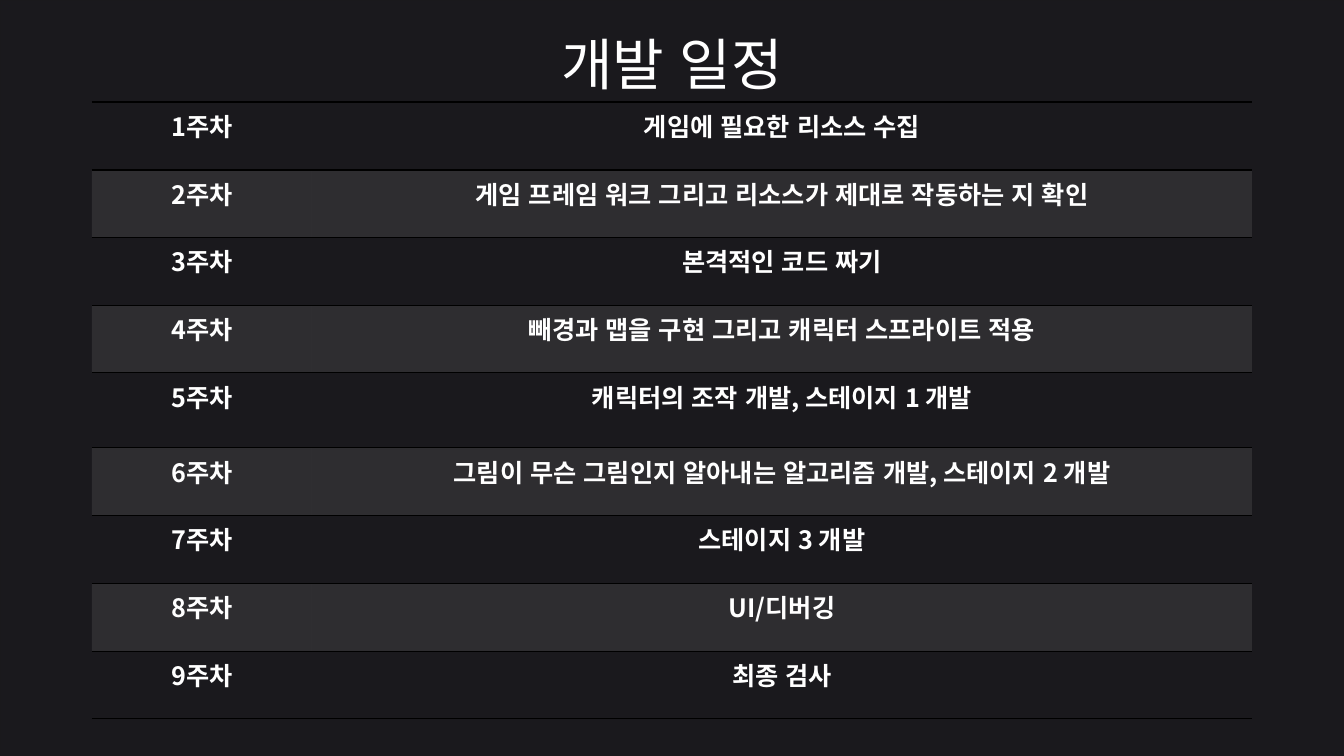
from lxml.etree import SubElement
from pptx import Presentation
from pptx.dml.color import RGBColor
from pptx.enum.shapes import MSO_SHAPE
from pptx.enum.text import MSO_AUTO_SIZE, PP_ALIGN
from pptx.oxml import parse_xml
from pptx.oxml.ns import nsdecls, qn
from pptx.util import Pt

EMU_PER_PX = 914400 / 100.8
FONT = "Noto Sans CJK KR"
PLAIN_TABLE_STYLE = "{2D5ABB26-0587-4C30-8999-92F81FD0307C}"
WEEK_PLANS = [
    "게임에 필요한 리소스 수집",
    "게임 프레임 워크 그리고 리소스가 제대로 작동하는 지 확인",
    "본격적인 코드 짜기",
    "빼경과 맵을 구현 그리고 캐릭터 스프라이트 적용",
    "캐릭터의 조작 개발, 스테이지 1 개발",
    "그림이 무슨 그림인지 알아내는 알고리즘 개발, 스테이지 2 개발",
    "스테이지 3 개발",
    "UI/디버깅",
    "최종 검사",
]
TALL_WEEK = 5
RULE_WIDTHS = [1.79] * 2 + [0.79] * 6 + [1] * 2


def px(length):
    return round(length * EMU_PER_PX)


def color(hex_string):
    return RGBColor.from_string(hex_string)


def write(frame, text, size, bold=False):
    para = frame.paragraphs[0]
    para.alignment = PP_ALIGN.CENTER
    span = para.add_run()
    span.text = text
    span.font.size = Pt(size)
    span.font.bold = bold
    span.font.name = FONT
    span.font.color.rgb = color("FFFFFF")
    properties = span.font._element
    properties.set("lang", "ko-KR")
    SubElement(properties, qn("a:ea")).set("typeface", FONT)


def add_backdrop(page, box):
    backdrop = page.shapes.add_shape(MSO_SHAPE.RECTANGLE, *map(px, box))
    backdrop.shadow.inherit = False
    backdrop.fill.solid()
    backdrop.fill.fore_color.rgb = color("1A191D")
    backdrop.line.color.rgb = color("1A191C")
    backdrop.line.width = Pt(1.5)


def add_title(page, box, text):
    frame = page.shapes.add_textbox(*map(px, box)).text_frame
    frame.word_wrap = True
    frame.auto_size = MSO_AUTO_SIZE.SHAPE_TO_FIT_TEXT
    write(frame, text, size=40)


def shade(cell):
    """Fill the cell with translucent grey."""
    cell.fill.solid()
    cell.fill.fore_color.rgb = color("7F7F7F")
    tint = cell._tc.tcPr.find(qn("a:solidFill"))[0]
    SubElement(tint, qn("a:alpha")).set("val", "20000")


def rule(cell, top, bottom):
    """Draw black rules of the given point widths above and below the cell."""
    for place, (tag, width) in enumerate([("lnT", top), ("lnB", bottom)]):
        line = parse_xml(
            f'<a:{tag} {nsdecls("a")} w="{Pt(width)}"><a:solidFill>'
            f'<a:srgbClr val="000000"/></a:solidFill></a:{tag}>'
        )
        cell._tc.get_or_add_tcPr().insert(place, line)


def add_schedule(page, box, week_width, tall_height):
    left, top, width, height = box
    count = len(WEEK_PLANS)
    table = page.shapes.add_table(count, 2, *map(px, box)).table
    table.first_row = table.horz_banding = False
    table._tbl.tblPr.find(qn("a:tableStyleId")).text = PLAIN_TABLE_STYLE
    table.columns[0].width = px(week_width)
    table.columns[1].width = px(width - week_width)
    row_height = (height - tall_height) / (count - 1)
    for week, plan in enumerate(WEEK_PLANS, start=1):
        row = table.rows[week - 1]
        row.height = px(tall_height if week == TALL_WEEK else row_height)
        for cell, text in zip(row.cells, (f"{week}주차", plan)):
            write(cell.text_frame, text, size=18, bold=True)
            if week % 2 == 0:
                shade(cell)
            else:
                cell.fill.background()
            rule(cell, RULE_WIDTHS[week - 1], RULE_WIDTHS[week])


def build_schedule_page(deck, width, height):
    page = deck.slides.add_slide(deck.slide_layouts[6])
    margin = 92
    add_backdrop(page, (0, 0, width, height))
    add_title(page, (0, 25, width, 77), "개발 일정")
    add_schedule(page, (margin, 102, width - 2 * margin, 617),
                 week_width=220, tall_height=75)


def main():
    width, height = 1344, 756
    deck = Presentation()
    deck.slide_width, deck.slide_height = px(width), px(height)
    build_schedule_page(deck, width, height)
    deck.save("out.pptx")


if __name__ == "__main__":
    main()
